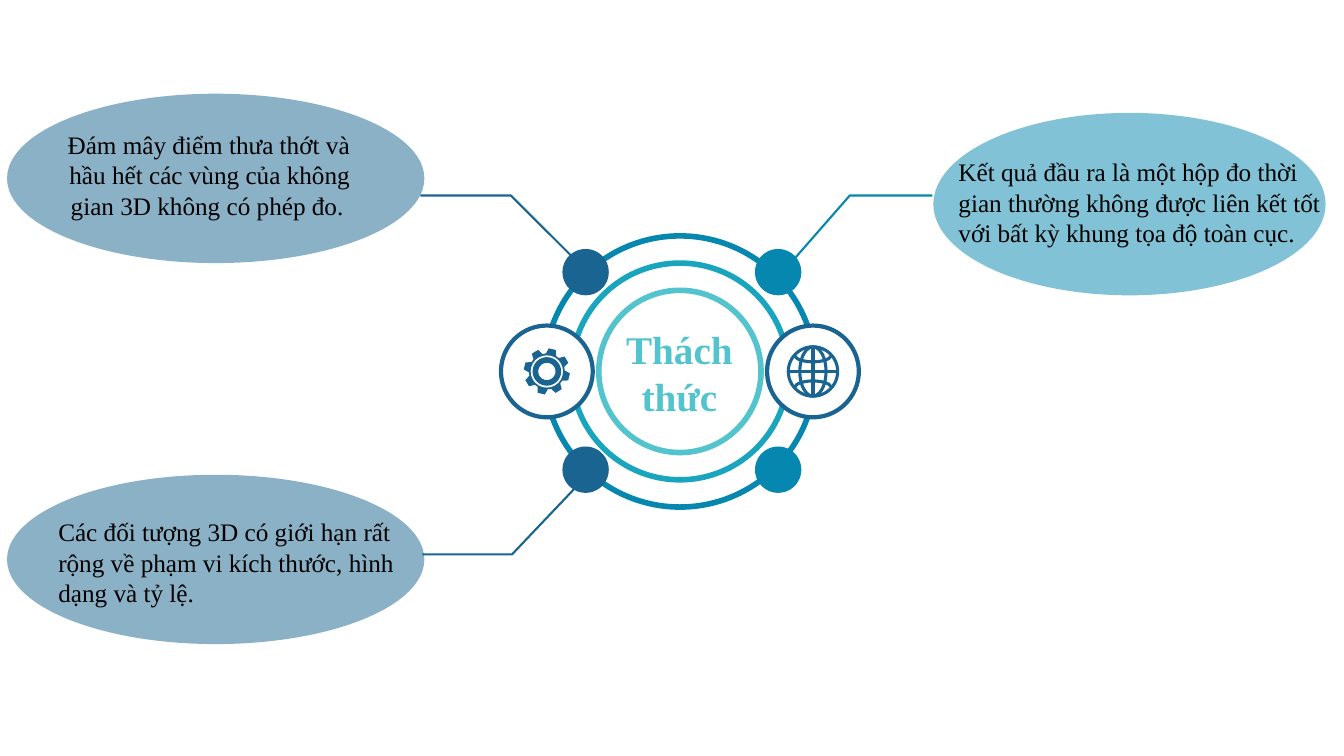
"""Build a hub diagram with three challenge bubbles on a 133.33 by 75 cell grid."""
from dataclasses import dataclass
from math import cos, pi, radians, sin

from lxml import etree
from pptx import Presentation
from pptx.dml.color import RGBColor
from pptx.enum.shapes import MSO_CONNECTOR, MSO_SHAPE
from pptx.enum.text import MSO_ANCHOR, MSO_AUTO_SIZE, PP_ALIGN
from pptx.oxml.ns import qn
from pptx.util import Emu, Inches, Pt

OVAL = MSO_SHAPE.OVAL
STRAIGHT = MSO_CONNECTOR.STRAIGHT
MIDDLE = MSO_ANCHOR.MIDDLE
GROW = MSO_AUTO_SIZE.SHAPE_TO_FIT_TEXT
LEFT, CENTER, RIGHT = PP_ALIGN.LEFT, PP_ALIGN.CENTER, PP_ALIGN.RIGHT

CELL = Inches(0.1)
COLUMNS, ROWS = 133.33, 75
HUB_X, HUB_Y = 67.45, 36.85
FONT = "Times New Roman"
NAVY, BLUE, TEAL, AQUA = "196491", "0587AF", "19A5BE", "53C3CD"
WHITE, BLACK = "FFFFFF", "000000"
Point = tuple[float, float]


@dataclass(frozen=True)
class Ring:
    radius: float
    color: str


@dataclass(frozen=True)
class Frame:
    left: float
    top: float
    width: float
    height: float


@dataclass(frozen=True)
class Label:
    text: str
    frame: Frame
    align: PP_ALIGN = LEFT
    size: int = 18
    color: str = BLACK
    bold: bool = False


@dataclass(frozen=True)
class Challenge:
    bubble: Frame
    color: str
    leader: tuple[Point, ...]
    label: Label


RINGS = (Ring(13.45, BLUE), Ring(10.75, TEAL), Ring(8.05, AQUA))
DOT_COLUMNS = ((58.1, NAVY), (77.2, BLUE))
DOT_ROWS = (27, 46.6)
GEAR_X, GLOBE_X = 54.25, 80.65
TITLE = Label("Thách thức", Frame(60, 31.7, 14.8, 10.4), CENTER, 28, AQUA, True)
CHALLENGES = (
    Challenge(
        Frame(0.7, 9.3, 41.4, 16.8), NAVY, ((58.3, 27), (50.7, 19.4), (41.7, 19.4)),
        Label("Đám mây điểm thưa thớt và hầu hết các vùng của không gian 3D không có phép đo. ",
              Frame(2.8, 12.3, 32.9, 10.1), RIGHT)),
    Challenge(
        Frame(92.6, 11.2, 38.9, 18.1), BLUE, ((77.3, 27.4), (84.3, 19.4), (92.5, 19.4)),
        Label("Kết quả đầu ra là một hộp đo thời gian thường không được liên kết tốt "
              "với bất kỳ khung tọa độ toàn cục.", Frame(94.1, 15, 38.2, 10.1))),
    Challenge(
        Frame(0.7, 47.1, 41.4, 16.8), NAVY, ((58.3, 47.1), (50.8, 55), (41.9, 55)),
        Label("Các đối tượng 3D có giới hạn rất rộng về phạm vi kích thước, hình dạng và tỷ lệ.",
              Frame(4.8, 50.7, 38.2, 10.1))),
)


def rgb(value: str) -> RGBColor:
    return RGBColor.from_string(value)


def cells(*counts: float) -> list[Emu]:
    return [Emu(round(count * CELL)) for count in counts]


def paint(shape, fill: str | None, line: str | None, weight: float = 1) -> None:
    shape.shadow.inherit = False
    if fill:
        shape.fill.solid()
        shape.fill.fore_color.rgb = rgb(fill)
    else:
        shape.fill.background()
    if line:
        shape.line.color.rgb = rgb(line)
        shape.line.width = Pt(weight)
    else:
        shape.line.fill.background()


def add_oval(page, frame: Frame, fill: str | None = None, line: str | None = None,
             weight: float = 1):
    oval = page.shapes.add_shape(
        OVAL, *cells(frame.left, frame.top, frame.width, frame.height))
    paint(oval, fill, line, weight)
    return oval


def around(x: float, y: float, across: float, down: float | None = None) -> Frame:
    down = across if down is None else down
    return Frame(x - across, y - down, 2 * across, 2 * down)


def add_path(page, points: list[Point] | tuple[Point, ...], fill: str | None = None,
             line: str | None = None, weight: float = 1) -> None:
    start, *rest = [tuple(cells(*point)) for point in points]
    builder = page.shapes.build_freeform(*start)
    builder.add_line_segments(rest, close=fill is not None)
    paint(builder.convert_to_shape(), fill, line, weight)


def add_line(page, start: Point, end: Point, color: str, weight: float) -> None:
    line = page.shapes.add_connector(STRAIGHT, *cells(*start, *end))
    line.line.color.rgb = rgb(color)
    line.line.width = Pt(weight)
    etree.SubElement(line._element.spPr, qn("a:effectLst"))


def add_bubble(page, challenge: Challenge) -> None:
    bubble = add_oval(page, challenge.bubble, challenge.color)
    tint = bubble._element.spPr.find(f"{qn('a:solidFill')}/{qn('a:srgbClr')}")
    etree.SubElement(tint, qn("a:alpha"), val="50000")


def add_label(page, label: Label) -> None:
    frame = label.frame
    box = page.shapes.add_textbox(
        *cells(frame.left, frame.top, frame.width, frame.height)).text_frame
    box.word_wrap = True
    box.auto_size = GROW
    box.vertical_anchor = MIDDLE
    para = box.paragraphs[0]
    para.text = label.text
    para.alignment = label.align
    para.font.name = FONT
    para.font.size = Pt(label.size)
    para.font.bold = label.bold
    para.font.color.rgb = rgb(label.color)


def add_gear(page, x: float, y: float) -> None:
    corners = ((-17, 1.78), (-9, 2.3), (9, 2.3), (17, 1.78))
    outline = [
        (x + radius * cos(radians(angle)), y + radius * sin(radians(angle)))
        for tooth in range(8)
        for offset, radius in corners
        for angle in [45 * tooth - 76 + offset]]
    add_path(page, outline, NAVY)
    add_oval(page, around(x, y, 1.6), WHITE)
    add_oval(page, around(x, y, 1.14), None, NAVY, 4)


def add_globe(page, x: float, y: float) -> None:
    reach, weight = 2.45, 2.2
    for across in (reach, 1.3):
        add_oval(page, around(x, y, across, reach), None, NAVY, weight)
    add_line(page, (x - reach, y), (x + reach, y), NAVY, weight)
    add_line(page, (x, y - reach), (x, y + reach), NAVY, weight)
    for side in (-1, 1):
        arc = [(x + 1.75 * cos(pi * step / 16), y + side * (1.55 - 0.6 * sin(pi * step / 16)))
               for step in range(17)]
        add_path(page, arc, None, NAVY, weight)


def main() -> None:
    deck = Presentation()
    deck.slide_width, deck.slide_height = cells(COLUMNS, ROWS)
    page = deck.slides.add_slide(deck.slide_layouts[6])
    for challenge in CHALLENGES:
        add_path(page, challenge.leader, None, challenge.color, 1.5)
    for ring in RINGS:
        add_oval(page, around(HUB_X, HUB_Y, ring.radius), None, ring.color, 4)
    for x, color in DOT_COLUMNS:
        for y in DOT_ROWS:
            add_oval(page, around(x, y, 2.3), color)
    for x, add_icon in ((GEAR_X, add_gear), (GLOBE_X, add_globe)):
        add_oval(page, around(x, HUB_Y, 4.55), WHITE, NAVY, 3)
        add_icon(page, x, HUB_Y)
    for challenge in CHALLENGES:
        add_bubble(page, challenge)
        add_label(page, challenge.label)
    add_label(page, TITLE)
    deck.save("out.pptx")


if __name__ == "__main__":
    main()
